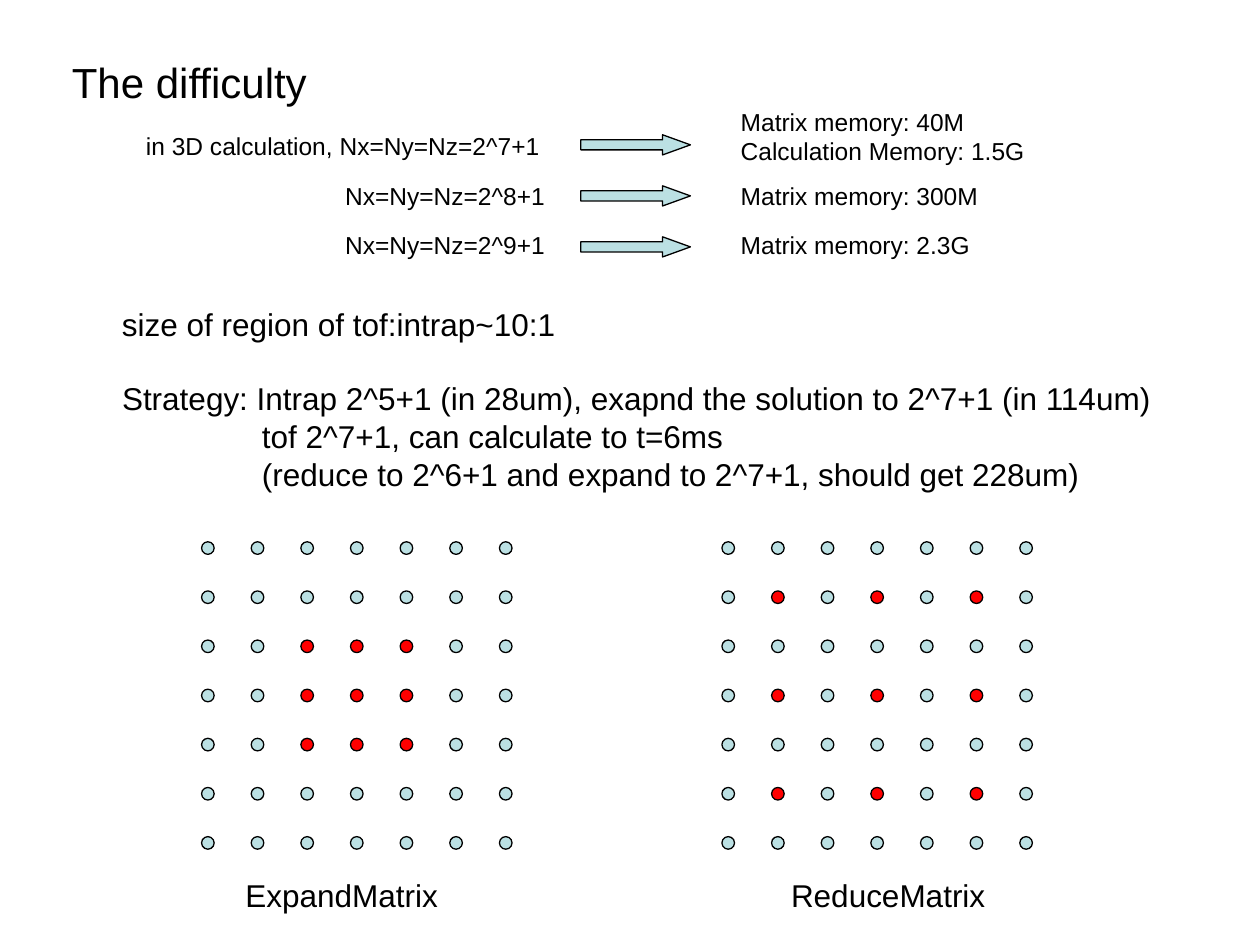
import pptx
import pptx.util
import pptx.dml.color
import pptx.enum.shapes
import pptx.enum.text

COLUMNS, ROWS = 100, 75  # grid cells across and down the slide


def color(hex_code):
    return pptx.dml.color.RGBColor.from_string(hex_code)


class SlideBuilder:
    """Holds the style and the current slide; lengths are grid columns and rows."""

    font = "Arial"
    ink = "000000"
    pale = "BBE0E3"
    marked = "FF0000"

    def __init__(self, deck):
        self.cell_width = deck.slide_width / COLUMNS
        self.cell_height = deck.slide_height / ROWS
        self.slide = deck.slides.add_slide(deck.slide_layouts[5])

    def box(self, left, top, width, height):
        return (round(left * self.cell_width), round(top * self.cell_height),
                round(width * self.cell_width), round(height * self.cell_height))

    def fill_frame(self, frame, words, size):
        frame.word_wrap = False
        frame.auto_size = pptx.enum.text.MSO_AUTO_SIZE.NONE
        frame.vertical_anchor = pptx.enum.text.MSO_ANCHOR.TOP
        frame.text = words
        for paragraph in frame.paragraphs:
            paragraph.alignment = pptx.enum.text.PP_ALIGN.LEFT
            for run in paragraph.runs:
                run.font.name = self.font
                run.font.size = pptx.util.Pt(size)
                run.font.color.rgb = color(self.ink)

    def title(self, words, *place, size=24):
        heading = self.slide.shapes.title
        heading.left, heading.top, heading.width, heading.height = self.box(*place)
        self.fill_frame(heading.text_frame, words, size)

    def text(self, words, *place, size=18, indent=0):
        """Add text whose lines after the first are indented by some columns."""
        frame = self.slide.shapes.add_textbox(*self.box(*place)).text_frame
        self.fill_frame(frame, words, size)
        if indent:
            for paragraph in frame.paragraphs[1:]:
                properties = paragraph._p.get_or_add_pPr()
                properties.set("marL", str(round(indent * self.cell_width)))
                properties.set("indent", "0")

    def shape(self, preset, fill, *place):
        figure = self.slide.shapes.add_shape(preset, *self.box(*place))
        figure.shadow.inherit = False
        figure.fill.solid()
        figure.fill.fore_color.rgb = color(fill)
        figure.line.color.rgb = color(self.ink)
        figure.line.width = pptx.util.Pt(0.75)
        return figure

    def arrow(self, *place):
        arrow = self.shape(pptx.enum.shapes.MSO_SHAPE.RIGHT_ARROW, self.pale, *place)
        arrow.adjustments[0] = 0.5
        arrow.adjustments[1] = 1.38

    def dot_matrix(self, left, top, marked_lines, count=7, pitch=(3.94, 3.9)):
        """Draw a square of dots, marked where a marked row and column cross."""
        for row in range(count):
            for column in range(count):
                crossing = row in marked_lines and column in marked_lines
                self.shape(pptx.enum.shapes.MSO_SHAPE.OVAL,
                           self.marked if crossing else self.pale,
                           left + column * pitch[0], top + row * pitch[1], 1, 1)


def main():
    deck = pptx.Presentation()
    deck.slide_width = pptx.util.Inches(10)
    deck.slide_height = pptx.util.Inches(7.5)
    builder = SlideBuilder(deck)

    builder.title("The difficulty", 4.7, 4, 20.7, 5)

    # Grid size, arrow and the memory it needs
    cases = [
        ("in 3D calculation, Nx=Ny=Nz=2^7+1", 10.6, 33.2, 9.9,
         "Matrix memory: 40M\nCalculation Memory: 1.5G", 24.5, 8, 5.7),
        ("Nx=Ny=Nz=2^8+1", 26.4, 17.9, 13.9, "Matrix memory: 300M", 20.8, 13.9, 3.4),
        ("Nx=Ny=Nz=2^9+1", 26.4, 17.9, 17.8, "Matrix memory: 2.3G", 20.2, 17.8, 3.4),
    ]
    for index, (grid, grid_left, grid_width, grid_top,
                memory, memory_width, memory_top, memory_height) in enumerate(cases):
        builder.text(grid, grid_left, grid_top, grid_width, 3.4, size=14)
        builder.arrow(46.1, 10.7 + index * 4.05, 8.7, 1.6)
        builder.text(memory, 57.8, memory_top, memory_width, memory_height, size=14)

    # Strategy
    builder.text("size of region of tof:intrap~10:1", 8.7, 23.7, 36.4, 4)
    builder.text("Strategy: Intrap 2^5+1 (in 28um), exapnd the solution to 2^7+1 (in 114um)\n"
                 "tof 2^7+1, can calculate to t=6ms\n"
                 "(reduce to 2^6+1 and expand to 2^7+1, should get 228um)",
                 8.7, 29.6, 83.8, 10, indent=11.1)

    # Dot matrices with their captions
    matrices = [("ExpandMatrix", 16, 18.5, (2, 3, 4)),
                ("ReduceMatrix", 57.3, 61.8, (1, 3, 5))]
    for caption, matrix_left, caption_left, marked_lines in matrices:
        builder.dot_matrix(matrix_left, 43, marked_lines)
        builder.text(caption, caption_left, 69, 17.4, 4)

    deck.save("out.pptx")


if __name__ == "__main__":
    main()
